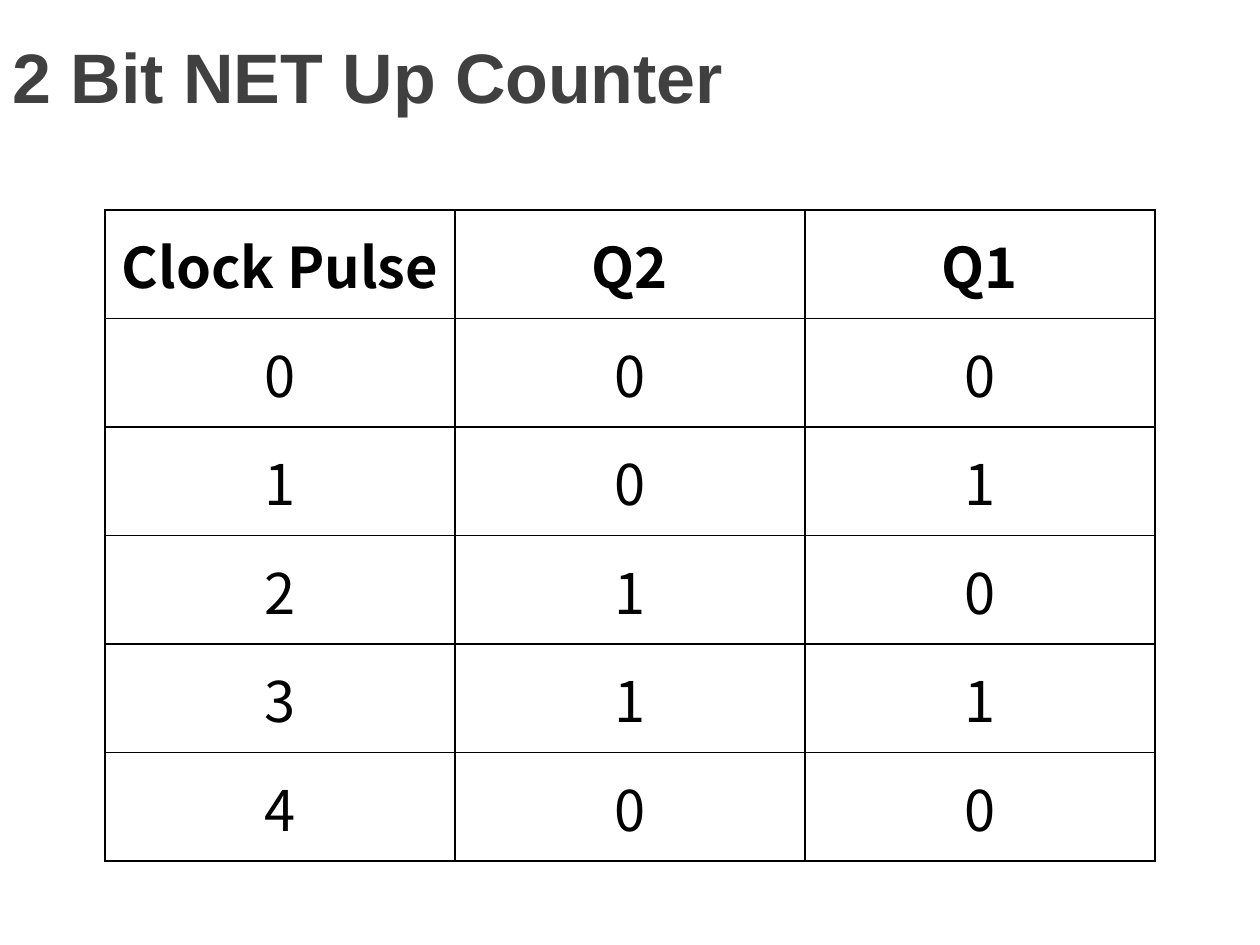
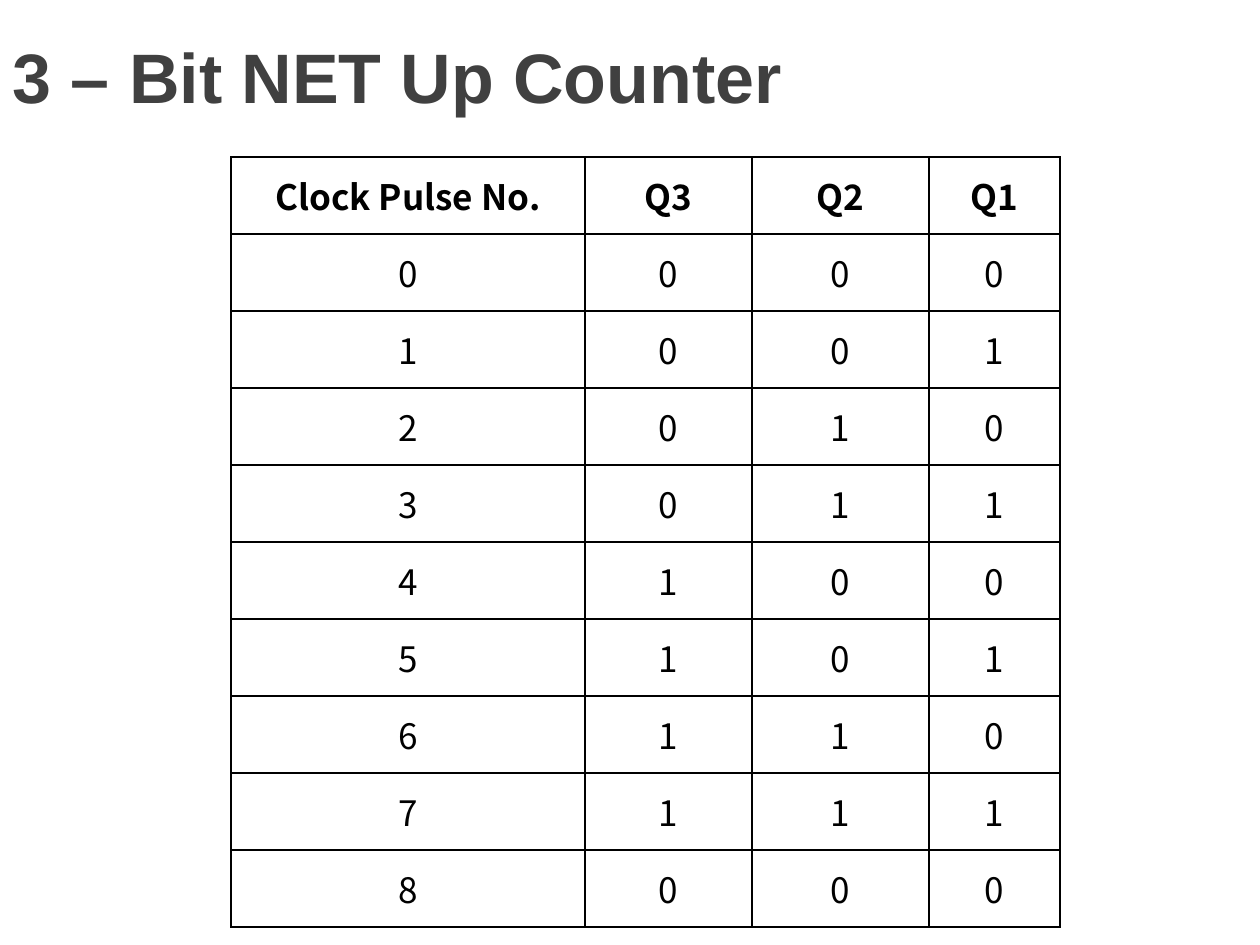
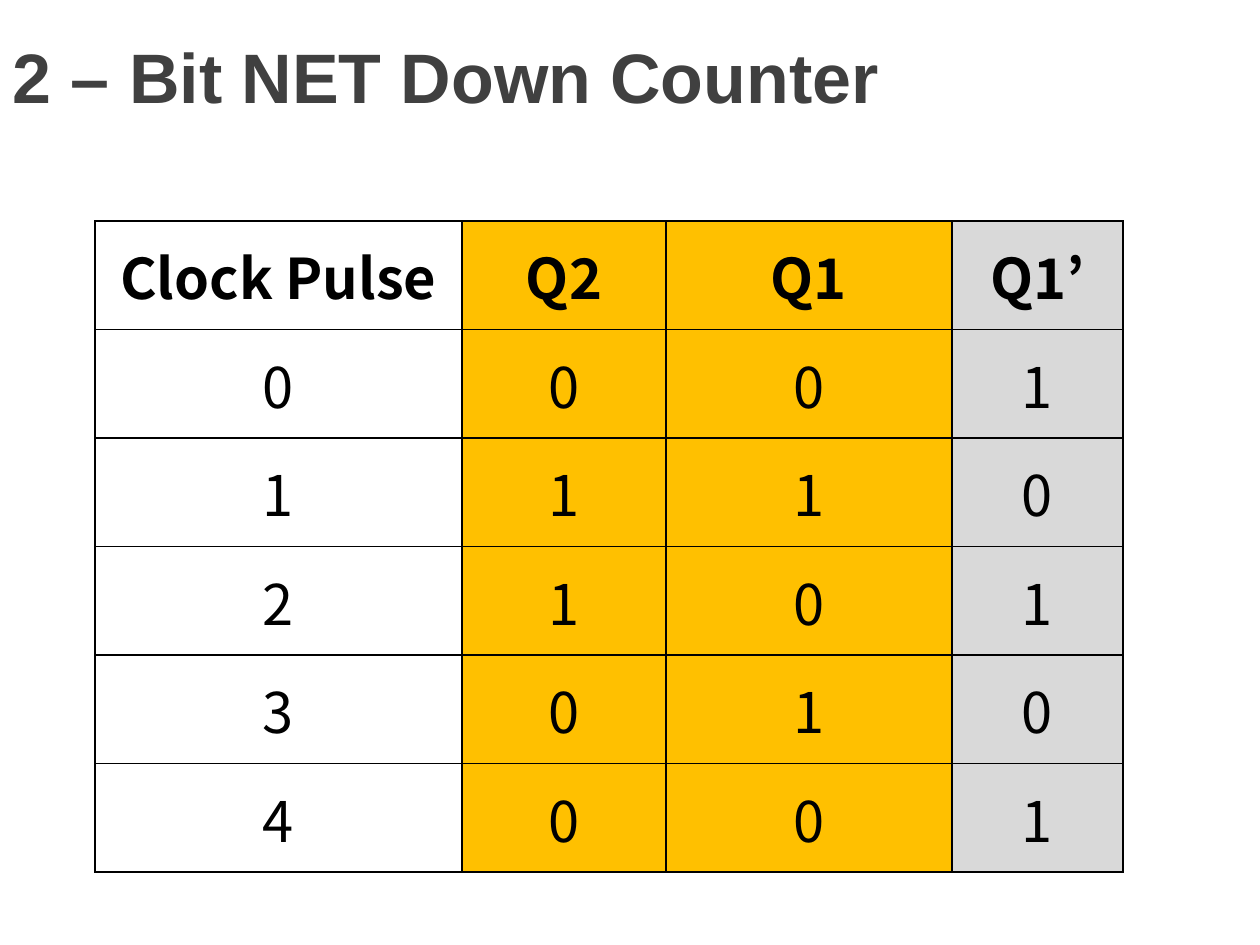
from dataclasses import dataclass
from typing import Any

from lxml.etree import SubElement as Sub
from pptx import Presentation
from pptx.dml.color import RGBColor as Rgb
from pptx.enum.text import MSO_ANCHOR as Anchor, MSO_AUTO_SIZE as Fit, PP_ALIGN as Align
from pptx.oxml.ns import qn
from pptx.util import Emu, Pt

DPI = 126
TITLE_ONLY = 5


@dataclass(frozen=True)
class Theme:
    ink: str = "000000"
    title: str = "404040"
    gold: str = "FFC000"
    gray: str = "D9D9D9"
    head_font: str = "Arial"
    cell_font: str = "Noto Sans CJK KR"
    head_size: int = 40
    big: int = 32
    small: int = 20
    rule: int = 1


THEME = Theme()


@dataclass(frozen=True)
class Count:
    """A counter slide: its title, table frame in px, and counting rule."""
    title: str
    heads: tuple[str, ...]
    left: int
    top: int
    cols: tuple[int, ...]
    high: int
    size: int
    bits: int
    step: int = 1
    flip: bool = False
    fills: tuple[str | None, ...] = ()

    def rows(self) -> list[list[str]]:
        """Output bits for each pulse, until the count is back at zero."""
        full = 2 ** self.bits
        body = []
        for pulse in range(full + 1):
            state = f"{self.step * pulse % full:0{self.bits}b}"
            row = [str(pulse), *state]
            if self.flip:
                row.append(str(1 - int(state[-1])))
            body.append(row)
        return [list(self.heads), *body]


SLIDES = (
    Count("2 Bit NET Up Counter", ("Clock Pulse", "Q2", "Q1"),
          105, 210, (350, 350, 350), 651, THEME.big, bits=2),
    Count("3 – Bit NET Up Counter", ("Clock Pulse No.", "Q3", "Q2", "Q1"),
          231, 157, (354, 167, 177, 131), 770, THEME.small, bits=3),
    Count("2 – Bit NET Down Counter", ("Clock Pulse", "Q2", "Q1", "Q1’"),
          95, 221, (367, 204, 286, 171), 651, THEME.big, bits=2, step=-1,
          flip=True, fills=(None, THEME.gold, THEME.gold, THEME.gray)),
)


def px(num: float) -> Emu:
    return Emu(round(num * 914400 / DPI))


def apply(item: Any, vals: dict[str, Any]) -> None:
    for key, val in vals.items():
        setattr(item, key, val)


def style(para: Any, align: Align, color: str, **font: Any) -> None:
    para.alignment = align
    apply(para.font, font)
    para.font.color.rgb = Rgb.from_string(color)


def border(cell: Any) -> None:
    props = cell._tc.get_or_add_tcPr()
    for side in ("lnL", "lnR", "lnT", "lnB"):
        line = Sub(props, qn(f"a:{side}"), w=str(Pt(THEME.rule)))
        Sub(Sub(line, qn("a:solidFill")), qn("a:srgbClr"), val=THEME.ink)


def put_title(slide: Any, text: str) -> None:
    box = slide.shapes.title
    apply(box, dict(left=px(0), top=px(2), width=px(1260), height=px(148)))
    frame = box.text_frame
    apply(frame, dict(text=text, word_wrap=True, auto_size=Fit.NONE,
                      vertical_anchor=Anchor.MIDDLE))
    style(frame.paragraphs[0], Align.LEFT, THEME.title,
          name=THEME.head_font, size=Pt(THEME.head_size), bold=True)


def put_cell(cell: Any, text: str, size: int, bold: bool, fill: str | None) -> None:
    apply(cell, dict(text=text, vertical_anchor=Anchor.MIDDLE))
    style(cell.text_frame.paragraphs[0], Align.CENTER, THEME.ink,
          name=THEME.cell_font, size=Pt(size), bold=bold)
    border(cell)
    if fill:
        cell.fill.solid()
        cell.fill.fore_color.rgb = Rgb.from_string(fill)
    else:
        cell.fill.background()


def put_table(slide: Any, count: Count) -> None:
    rows = count.rows()
    fills = count.fills or (None,) * len(count.cols)
    table = slide.shapes.add_table(
        len(rows), len(count.cols), px(count.left), px(count.top),
        px(sum(count.cols)), px(count.high)).table
    apply(table, dict(first_row=False, horz_banding=False))
    for col, wide in zip(table.columns, count.cols):
        col.width = px(wide)
    for row in table.rows:
        row.height = px(count.high / len(rows))
    for r, row in enumerate(rows):
        for c, (text, fill) in enumerate(zip(row, fills)):
            put_cell(table.cell(r, c), text, count.size, r == 0, fill)


def main() -> None:
    deck = Presentation()
    apply(deck, dict(slide_width=px(1260), slide_height=px(945)))
    for count in SLIDES:
        slide = deck.slides.add_slide(deck.slide_layouts[TITLE_ONLY])
        put_title(slide, count.title)
        put_table(slide, count)
    deck.save("out.pptx")


if __name__ == "__main__":
    main()
